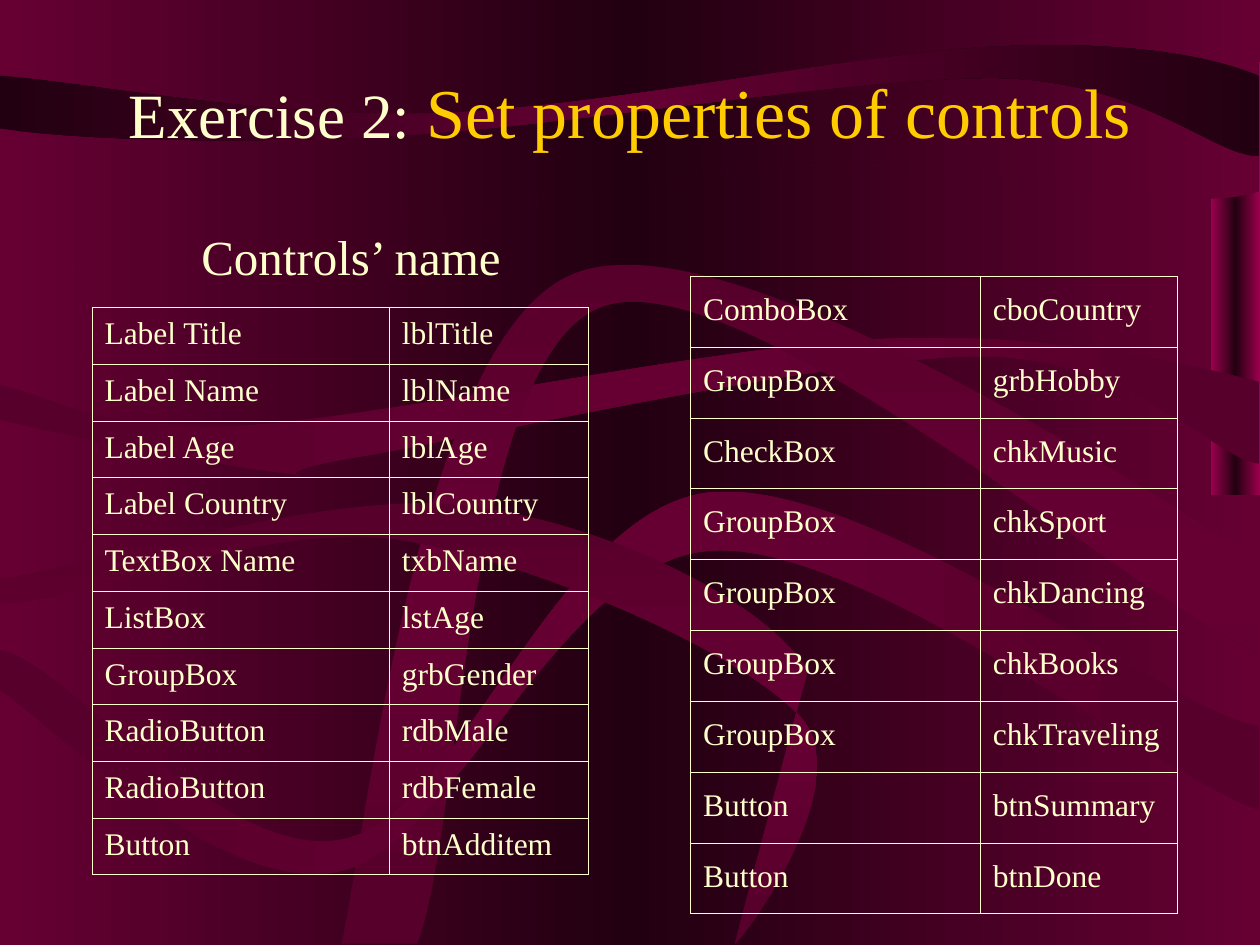
from copy import deepcopy
from pptx import Presentation
from pptx import util as u
from pptx.dml.color import RGBColor
from pptx.enum import shapes, text
from pptx.oxml.ns import qn
from lxml import etree

FONT = "Times New Roman"
CREAM, GOLD = "FFFFCC", "FFCC00"
WINE, DARK, PLUM, ROSE = "660033", "220011", "56002B", "9C004E"
OUTER, INNER = 0.11, 0.06  # border widths in points

TITLE = [("Exercise 2: ", 36, CREAM), ("Set properties of controls", 40, GOLD)]
SUBTITLE = [("Controls’ name", 28, CREAM)]

# left, top, column widths, height, rows
TABLES = [
    (0.73, 2.44, (2.36, 1.58), 4.5, [
        ("Label Title", "lblTitle"),
        ("Label Name", "lblName"),
        ("Label Age", "lblAge"),
        ("Label Country", "lblCountry"),
        ("TextBox Name", "txbName"),
        ("ListBox", "lstAge"),
        ("GroupBox", "grbGender"),
        ("RadioButton", "rdbMale"),
        ("RadioButton", "rdbFemale"),
        ("Button", "btnAdditem"),
    ]),
    (5.48, 2.19, (2.3, 1.56), 5.06, [
        ("ComboBox", "cboCountry"),
        ("GroupBox", "grbHobby"),
        ("CheckBox", "chkMusic"),
        ("GroupBox", "chkSport"),
        ("GroupBox", "chkDancing"),
        ("GroupBox", "chkBooks"),
        ("GroupBox", "chkTraveling"),
        ("Button", "btnSummary"),
        ("Button", "btnDone"),
    ]),
]

# edge colour, middle colour, angle, outline: start point, then lines (x, y)
# and Bezier curves (two control points and an end point)
RIBBONS = [
    (WINE, DARK, 0, [
        (0, 0), (9.99, 0), (9.99, 1.52),
        (9.37, 1.74, 7.91, 1.22, 6.25, 1.32),
        (4.58, 1.41, 1.04, 2.33, 0, 2.11), (0, 0)]),
    (DARK, WINE, 0, [
        (0, 0.6), (0, 1.02),
        (0.51, 1.1, 1.75, 1.15, 3.08, 1.08),
        (4.4, 1.02, 6.78, 0.6, 7.94, 0.62),
        (9.09, 0.65, 9.65, 1.25, 9.99, 1.24), (9.99, 0.6),
        (9.65, 0.46, 9, 0.32, 7.91, 0.37),
        (6.82, 0.42, 4.77, 0.86, 3.45, 0.9),
        (2.13, 0.94, 0.72, 0.66, 0, 0.6)]),
    (PLUM, WINE, 0, [
        (0, 3.06), (0, 3.33),
        (0.37, 3.43, 1.75, 3.7, 2.22, 3.75),
        (2.69, 3.8, 1.89, 3.79, 2.82, 3.63),
        (3.75, 3.48, 6.6, 2.82, 7.8, 2.83),
        (8.99, 2.83, 9.63, 3.64, 9.99, 3.68), (9.99, 3.03),
        (9.49, 2.9, 8.36, 2.63, 7.01, 2.69),
        (5.66, 2.74, 3.06, 3.32, 1.9, 3.38),
        (0.73, 3.44, 0.4, 3.12, 0, 3.06)]),
    (PLUM, WINE, 90, [
        (2.71, 7.49),
        (2.91, 6.61, 3.32, 2.69, 4.54, 2.18),
        (5.75, 1.66, 9.09, 3.92, 9.99, 4.42), (9.99, 5.18),
        (9.13, 4.85, 5.9, 2.05, 4.79, 2.43),
        (3.68, 2.82, 3.66, 6.65, 3.31, 7.49), (2.71, 7.49)]),
    (PLUM, WINE, 0, [
        (0, 5.16), (0, 5.48),
        (0.45, 5.78, 1.74, 7.1, 2.68, 6.92),
        (3.62, 6.73, 4.43, 4.46, 5.64, 4.37),
        (6.86, 4.29, 9.27, 6.2, 9.99, 6.43), (9.99, 5.76),
        (9.38, 5.71, 6.91, 3.77, 5.62, 3.91),
        (4.41, 4.06, 3.67, 6.45, 2.73, 6.66),
        (1.79, 6.87, 0.45, 5.2, 0, 5.16)]),
    (PLUM, WINE, 90, [
        (0, 4.6), (0, 4.77),
        (0.26, 4.89, 2.08, 4.12, 3.14, 4.28),
        (4.2, 4.44, 5.92, 5.18, 6.37, 5.71),
        (6.82, 6.25, 5.82, 7.56, 5.83, 7.49), (6.41, 5.32),
        (6.05, 4.74, 4.73, 4.12, 3.66, 4.01),
        (2.59, 3.89, 0.76, 4.48, 0, 4.6)]),
]


def rgb(hex_colour):
    return RGBColor.from_string(hex_colour)


def set_gradient(fill, element, edge, middle, angle):
    """Three-stop gradient, the same colour at both ends."""
    fill.gradient()
    fill.gradient_angle = angle
    stops = element.find(".//" + qn("a:gsLst"))
    stops.insert(1, deepcopy(stops[0]))
    for stop, pos, colour in zip(fill.gradient_stops, (0, 0.5, 1), (edge, middle, edge)):
        stop.position = pos
        stop.color.rgb = rgb(colour)


def finish_decor(sp, edge, middle, angle):
    sp.shadow.inherit = False
    sp.line.fill.background()
    set_gradient(sp.fill, sp.element, edge, middle, angle)


def add_ribbon(slide, edge, middle, angle, outline):
    """Freeform through all points; each curve's three lines then become one Bezier."""
    points = [(u.Inches(x), u.Inches(y))
              for seg in outline for x, y in zip(seg[::2], seg[1::2])]
    builder = slide.shapes.build_freeform(*points[0])
    builder.add_line_segments(points[1:], close=True)
    sp = builder.convert_to_shape()
    lines = iter(sp.element.findall(".//" + qn("a:lnTo")))
    for seg in outline[1:]:
        first = next(lines)
        if len(seg) == 6:
            first.tag = qn("a:cubicBezTo")
            for line in (next(lines), next(lines)):
                first.append(line[0])
                line.getparent().remove(line)
    finish_decor(sp, edge, middle, angle)


def add_runs(p, runs):
    for content, size, colour in runs:
        r = p.add_run()
        r.text = content
        r.font.name, r.font.size = FONT, u.Pt(size)
        r.font.color.rgb = rgb(colour)


def add_text(slide, box, runs, anchor, align):
    tf = slide.shapes.add_textbox(*map(u.Inches, box)).text_frame
    tf.word_wrap = True
    tf.vertical_anchor = anchor
    tf.paragraphs[0].alignment = align
    add_runs(tf.paragraphs[0], runs)


def set_border(cell, side, width):
    ln = etree.SubElement(cell._tc.get_or_add_tcPr(), qn("a:ln" + side), w=str(u.Pt(width)))
    fill = etree.SubElement(ln, qn("a:solidFill"))
    etree.SubElement(fill, qn("a:srgbClr"), val=CREAM)


def add_name_table(slide, left, top, widths, height, rows):
    last_row, last_col = len(rows) - 1, len(widths) - 1
    table = slide.shapes.add_table(
        len(rows), len(widths), u.Inches(left), u.Inches(top),
        u.Inches(sum(widths)), u.Inches(height)).table
    table.first_row = table.horz_banding = False
    for column, width in zip(table.columns, widths):
        column.width = u.Inches(width)
    for i, row in enumerate(rows):
        for j, content in enumerate(row):
            cell = table.cell(i, j)
            cell.vertical_anchor = text.MSO_ANCHOR.MIDDLE
            on_edge = {"L": j == 0, "R": j == last_col, "T": i == 0, "B": i == last_row}
            for side, outer in on_edge.items():
                set_border(cell, side, OUTER if outer else INNER)
            cell.fill.background()
            p = cell.text_frame.paragraphs[0]
            p.line_spacing = 0.86
            add_runs(p, [(content, 18, CREAM)])


def main():
    prs = Presentation()
    prs.slide_width, prs.slide_height = u.Inches(10), u.Inches(7.5)
    slide = prs.slides.add_slide(prs.slide_layouts[6])
    set_gradient(slide.background.fill, slide.element, WINE, DARK, 0)

    bar = slide.shapes.add_shape(shapes.MSO_SHAPE.RECTANGLE,
                                 *map(u.Inches, (9.61, 0.49, 0.39, 3.44)))
    finish_decor(bar, ROSE, DARK, 0)
    for ribbon in RIBBONS:
        add_ribbon(slide, *ribbon)

    add_text(slide, (0.75, 0.25, 8.5, 1.25), TITLE,
             text.MSO_ANCHOR.MIDDLE, text.PP_ALIGN.CENTER)
    for table in TABLES:
        add_name_table(slide, *table)
    add_text(slide, (1.5, 1.75, 2.75, 0.57), SUBTITLE,
             text.MSO_ANCHOR.TOP, text.PP_ALIGN.LEFT)
    prs.save("out.pptx")


if __name__ == "__main__":
    main()
